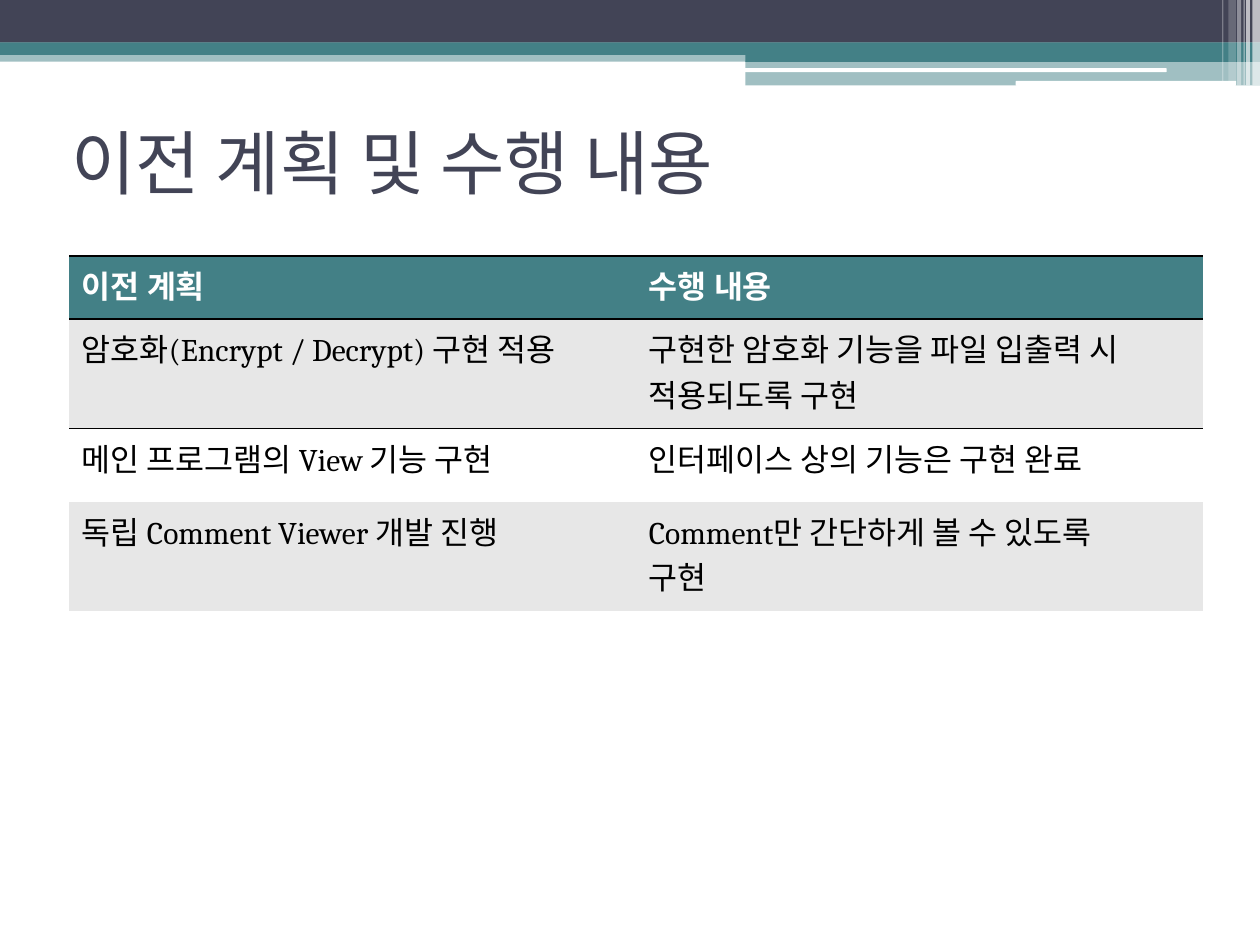
"""Builds the slide comparing the previous plan with the work carried out."""
from dataclasses import dataclass

import pptx
import pptx.dml.color
import pptx.enum.shapes
import pptx.enum.text
import pptx.oxml
import pptx.oxml.ns
import pptx.util
from lxml import etree

Pt = pptx.util.Pt
qn = pptx.oxml.ns.qn


@dataclass(frozen=True)
class Theme:
    navy: str = "424456"
    teal: str = "438086"
    grey: str = "E7E7E7"
    white: str = "FFFFFF"
    black: str = "000000"
    title_font: str = "Cabin"
    body_font: str = "Cambria"
    title_size: int = 40
    body_size: int = 18


theme = Theme()


def paint(fill, color, alpha=100):
    fill.solid()
    fill.fore_color.rgb = pptx.dml.color.RGBColor.from_string(color)
    if alpha < 100:
        tint = fill._xPr.find(".//" + qn("a:srgbClr"))
        etree.SubElement(tint, qn("a:alpha"), val=str(alpha * 1000))


def style(paragraph, font, size, color, bold=False):
    paragraph.font.name = font
    paragraph.font.size = Pt(size)
    paragraph.font.bold = bold
    paragraph.font.color.rgb = pptx.dml.color.RGBColor.from_string(color)


deck = pptx.Presentation()
deck.slide_width, deck.slide_height = Pt(720), Pt(540)
slide = deck.slides.add_slide(deck.slide_layouts[6])

RECT = pptx.enum.shapes.MSO_SHAPE.RECTANGLE
ROUND = pptx.enum.shapes.MSO_SHAPE.ROUNDED_RECTANGLE
bands = [
    (RECT, 0, 28.8, 720, 6.5, theme.teal, 50),
    (RECT, 0, 0, 720, 24.4, theme.navy, 100),
    (RECT, 0, 24.2, 720, 7.2, theme.teal, 100),
    (RECT, 426, 28.2, 294, 7.2, theme.teal, 100),
    (RECT, 426, 34.6, 294, 14.2, theme.teal, 50),
    (ROUND, 425.5, 39, 241.2, 2.2, theme.white, 100),
    (ROUND, 580.4, 46.2, 126, 2.8, theme.white, 100),
]
stripes = [
    (715.7, 4.3, 48.8, 65),
    (712.1, 2.2, 48.8, 65),
    (710.6, 0.7, 48.8, 60),
    (707, 2.2, 48.8, 40),
    (702, 4.3, 46.2, 20),
    (698.4, 0.7, 46.2, 30),
]
bands += [(RECT, left, 0, width, height, theme.white, alpha)
          for left, width, height, alpha in stripes]
for preset, left, top, width, height, color, alpha in bands:
    band = slide.shapes.add_shape(preset, Pt(left), Pt(top), Pt(width), Pt(height))
    band.shadow.inherit = False
    band.line.fill.background()
    paint(band.fill, color, alpha)

title = slide.shapes.add_textbox(Pt(33.8), Pt(50.4), Pt(648), Pt(84.2)).text_frame
title.word_wrap = True
title.vertical_anchor = pptx.enum.text.MSO_ANCHOR.MIDDLE
title.text = "이전 계획 및 수행 내용"
style(title.paragraphs[0], theme.title_font, theme.title_size, theme.navy)

entries = [
    ("이전 계획", "수행 내용"),
    ("암호화(Encrypt / Decrypt) 구현 적용",
     "구현한 암호화 기능을 파일 입출력 시 적용되도록 구현"),
    ("메인 프로그램의 View 기능 구현", "인터페이스 상의 기능은 구현 완료"),
    ("독립 Comment Viewer 개발 진행", "Comment만 간단하게 볼 수 있도록\n구현"),
]
row_heights = [36, 62.6, 41.8, 62.6]
row_fills = [theme.teal, theme.grey, theme.white, theme.grey]
ruled_edges = [("a:lnT", "a:lnB"), ("a:lnT",), (), ()]
NO_GRID = "{2D5ABB26-0587-4C30-8999-92F81FD0307C}"

plan = slide.shapes.add_table(4, 2, Pt(39.6), Pt(146.2), Pt(648), Pt(sum(row_heights))).table
plan._tbl.tblPr.find(qn("a:tableStyleId")).text = NO_GRID
for index, row in enumerate(plan.rows):
    row.height = Pt(row_heights[index])
    heading = index == 0
    for cell, wording in zip(row.cells, entries[index]):
        cell.margin_left = cell.margin_right = Pt(7.2)
        cell.margin_top = cell.margin_bottom = Pt(3.6)
        for edge in ruled_edges[index]:
            rule = etree.SubElement(cell._tc.get_or_add_tcPr(), qn(edge), w=str(Pt(0.96)))
            ink = etree.SubElement(rule, qn("a:solidFill"))
            etree.SubElement(ink, qn("a:srgbClr"), val=theme.black)
        paint(cell.fill, row_fills[index])
        cell.text = wording
        for paragraph in cell.text_frame.paragraphs:
            style(paragraph, theme.body_font, theme.body_size,
                  theme.white if heading else theme.black, heading)

deck.save("out.pptx")
